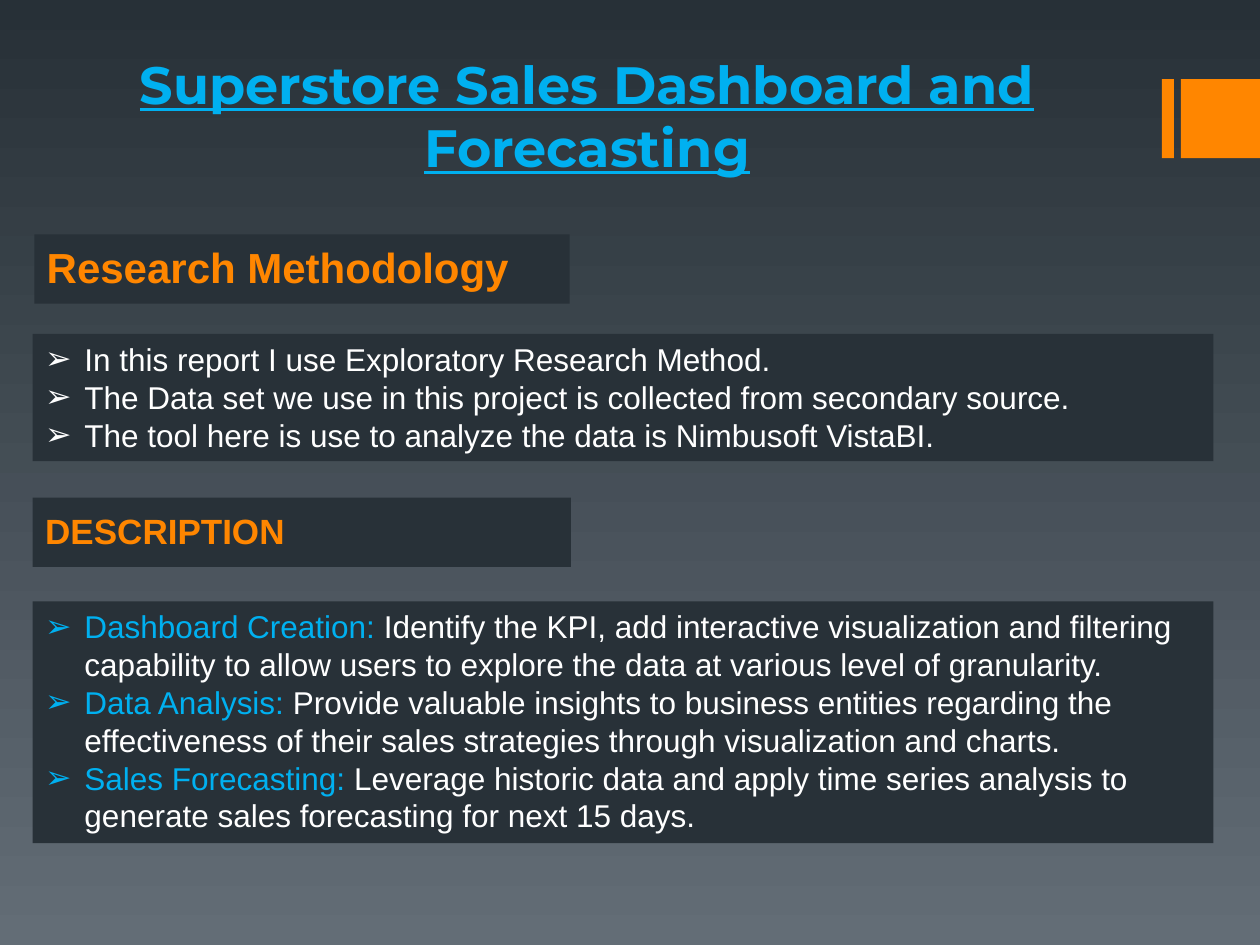
from lxml import etree
from pptx import Presentation
from pptx.dml.color import RGBColor
from pptx.enum import shapes, text
from pptx.oxml import ns
from pptx.util import Pt

ORANGE, BLUE, WHITE, PANEL = "FF8600", "00B0F0", "FFFFFF", "283138"
PANEL_LEFT, PANEL_WIDTH = 18.72, 674.64
HEADING_HEIGHT = 39.6
BULLET_INDENT = 22.5

METHODS = [
    [("In this report I use Exploratory Research Method.", WHITE)],
    [("The Data set we use in this project is collected from secondary source.", WHITE)],
    [("The tool here is use to analyze the data is Nimbusoft VistaBI.", WHITE)],
]
DESCRIPTIONS = [
    [("Dashboard Creation: ", BLUE),
     ("Identify the KPI, add interactive visualization and filtering capability "
      "to allow users to explore the data at various level of granularity.", WHITE)],
    [("Data Analysis:", BLUE),
     (" Provide valuable insights to business entities regarding the effectiveness "
      "of their sales strategies through visualization and charts.", WHITE)],
    [("Sales Forecasting:", BLUE),
     (" Leverage historic data and apply time series analysis to generate "
      "sales forecasting for next 15 days.", WHITE)],
]


def rgb(value):
    return RGBColor.from_string(value)


def paint_background(slide):
    fill = slide.background.fill
    fill.gradient()
    fill.gradient_angle = 270
    for stop, (position, color) in zip(fill.gradient_stops, [(0, "273037"), (1, "636D76")]):
        stop.position = position
        stop.color.rgb = rgb(color)


def add_block(slide, left, top, width, height, color):
    block = slide.shapes.add_shape(
        shapes.MSO_SHAPE.RECTANGLE, Pt(left), Pt(top), Pt(width), Pt(height))
    block.shadow.inherit = False
    block.fill.solid()
    block.fill.fore_color.rgb = rgb(color)
    block.line.fill.background()
    return block


def add_run(paragraph, wording, size, color, font="Arial", bold=False, underline=False):
    run = paragraph.add_run()
    run.text = wording
    run.font.name = font
    run.font.size = Pt(size)
    run.font.bold = bold
    run.font.underline = underline
    run.font.color.rgb = rgb(color)


def add_title(slide, wording):
    title = slide.shapes.add_textbox(Pt(-42.5), Pt(26), Pt(720), Pt(118.8))
    title.text_frame.word_wrap = True
    paragraph = title.text_frame.paragraphs[0]
    paragraph.alignment = text.PP_ALIGN.CENTER
    paragraph._p.get_or_add_pPr().set("marL", str(Pt(36)))
    add_run(paragraph, wording, 30, BLUE, "Montserrat", bold=True, underline=True)


def add_heading(slide, left, top, width, wording, size):
    heading = add_block(slide, left, top, width, HEADING_HEIGHT, PANEL)
    frame = heading.text_frame
    frame.word_wrap = True
    frame.vertical_anchor = text.MSO_ANCHOR.MIDDLE
    frame.margin_bottom = Pt(6)
    paragraph = frame.paragraphs[0]
    paragraph.alignment = text.PP_ALIGN.LEFT
    add_run(paragraph, wording, size, ORANGE, bold=True)


def add_bullet(paragraph):
    properties = paragraph._p.get_or_add_pPr()
    properties.set("marL", str(Pt(BULLET_INDENT)))
    properties.set("indent", str(-Pt(BULLET_INDENT)))
    etree.SubElement(properties, ns.qn("a:buFont")).set("typeface", "Arial")
    etree.SubElement(properties, ns.qn("a:buChar")).set("char", "➢")


def add_bullet_panel(slide, top, height, points):
    panel = add_block(slide, PANEL_LEFT, top, PANEL_WIDTH, height, PANEL)
    frame = panel.text_frame
    frame.word_wrap = True
    frame.vertical_anchor = text.MSO_ANCHOR.TOP
    for index, point in enumerate(points):
        paragraph = frame.add_paragraph() if index else frame.paragraphs[0]
        paragraph.alignment = text.PP_ALIGN.LEFT
        paragraph.line_spacing = Pt(21.6)
        add_bullet(paragraph)
        for wording, color in point:
            add_run(paragraph, wording, 18, color)


def main():
    deck = Presentation()
    deck.slide_width, deck.slide_height = Pt(720), Pt(540)
    slide = deck.slides.add_slide(deck.slide_layouts[6])
    paint_background(slide)
    for left, width in [(664, 6.8), (674.8, 45.2)]:
        add_block(slide, left, 45.2, width, 45.2, ORANGE)
    add_heading(slide, 19.6, 133.9, 306, "Research Methodology", 24)
    add_title(slide, "Superstore Sales Dashboard and Forecasting")
    add_bullet_panel(slide, 190.8, 72.7, METHODS)
    add_heading(slide, PANEL_LEFT, 284.4, 307.6, "DESCRIPTION", 20)
    add_bullet_panel(slide, 343.6, 138.2, DESCRIPTIONS)
    deck.save("out.pptx")


if __name__ == "__main__":
    main()
